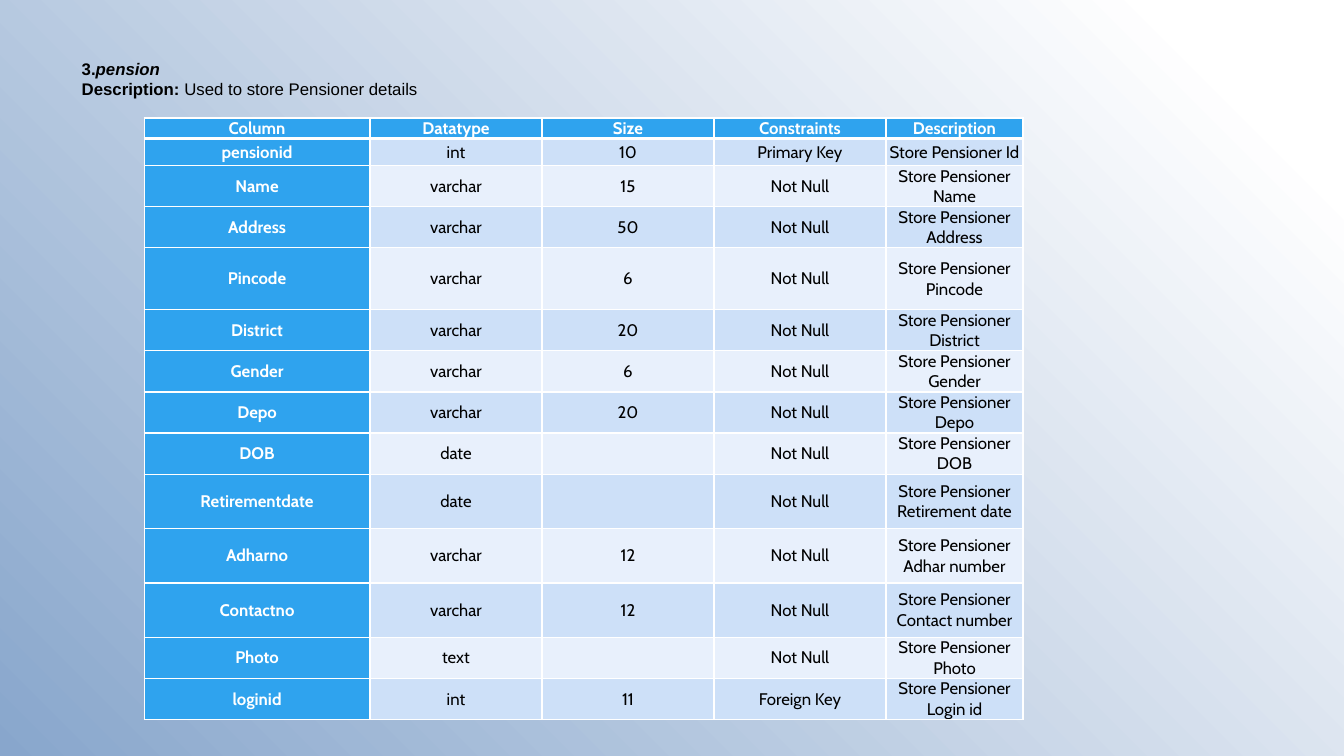
from lxml import etree
from pptx import Presentation
from pptx import util as u
from pptx.dml.color import RGBColor
from pptx.enum import text
from pptx.oxml import ns

SLIDE_WIDTH = u.Inches(13.333)
SLIDE_HEIGHT = u.Inches(7.5)
COLORS = {
    "white": "FFFFFF",
    "black": "000000",
    "backdrop": "88A6CC",
    "header": "2FA3EE",
    "odd": "CDE0F8",
    "even": "E8F0FC",
}
HEADINGS = ("Column", "Datatype", "Size", "Constraints", "Description")
COLUMN_SHARES = (16.8, 12.8, 12.8, 12.8, 10.2)
HEADING_ROW, LOW_ROW, ROW, TALL_ROW, TALLEST_ROW = 1.73, 3.6, 5.4, 7.2, 8.2
FIELDS = (
    ("pensionid", "int", "10", "Primary Key", "Id", LOW_ROW),
    ("Name", "varchar", "15", "Not Null", "Name", ROW),
    ("Address", "varchar", "50", "Not Null", "Address", ROW),
    ("Pincode", "varchar", "6", "Not Null", "Pincode", TALLEST_ROW),
    ("District", "varchar", "20", "Not Null", "District", ROW),
    ("Gender", "varchar", "6", "Not Null", "Gender", ROW),
    ("Depo", "varchar", "20", "Not Null", "Depo", ROW),
    ("DOB", "date", "", "Not Null", "DOB", ROW),
    ("Retirementdate", "date", "", "Not Null", "Retirement date", TALL_ROW),
    ("Adharno", "varchar", "12", "Not Null", "Adhar number", TALL_ROW),
    ("Contactno", "varchar", "12", "Not Null", "Contact number", TALL_ROW),
    ("Photo", "text", "", "Not Null", "Photo", ROW),
    ("loginid", "int", "11", "Foreign Key", "Login id", ROW),
)


def across(percent):
    return int(SLIDE_WIDTH * percent / 100)


def down(percent):
    return int(SLIDE_HEIGHT * percent / 100)


def rgb(name):
    return RGBColor.from_string(COLORS[name])


def style_font(font, typeface, color, bold=False, italic=False):
    font.name = typeface
    font.size = u.Pt(12)
    font.bold = bold
    font.italic = italic
    font.color.rgb = rgb(color)


def paint_background(slide):
    fill = slide.background.fill
    fill.gradient()
    fill.gradient_angle = 225
    for stop, (position, color) in zip(fill.gradient_stops, ((0.09, "white"), (1, "backdrop"))):
        stop.position = position
        stop.color.rgb = rgb(color)


def add_heading(slide):
    title = slide.shapes.title
    title.left, title.top = across(1.58), down(7.07)
    title.width, title.height = across(98.42), down(6.67)
    frame = title.text_frame
    frame.word_wrap = True
    frame.auto_size = text.MSO_AUTO_SIZE.NONE
    frame.vertical_anchor = text.MSO_ANCHOR.MIDDLE
    lines = (
        (("3.", True, False), ("pension", True, True)),
        (("Description: ", True, False), ("Used to store Pensioner details", False, False)),
    )
    for index, line in enumerate(lines):
        paragraph = frame.add_paragraph() if index else frame.paragraphs[0]
        paragraph.alignment = text.PP_ALIGN.LEFT
        paragraph._p.get_or_add_pPr().set("indent", str(u.Inches(0.5)))
        for words, bold, italic in line:
            run = paragraph.add_run()
            run.text = words
            style_font(run.font, "Arial", "black", bold, italic)


def add_border(cell, side, points):
    properties = cell._tc.get_or_add_tcPr()
    line = etree.SubElement(properties, ns.qn(f"a:ln{side}"), w=str(u.Pt(points)))
    fill = etree.SubElement(line, ns.qn("a:solidFill"))
    etree.SubElement(fill, ns.qn("a:srgbClr"), val=COLORS["white"])


def fill_cell(cell, words, row, column):
    for side in "LRTB":
        under_heading = (row, side) in ((0, "B"), (1, "T"))
        add_border(cell, side, 3 if under_heading else 1)
    is_heading = row == 0 or column == 0
    cell.fill.solid()
    cell.fill.fore_color.rgb = rgb("header" if is_heading else "odd" if row % 2 else "even")
    cell.margin_left = cell.margin_right = u.Inches(0.03)
    cell.margin_top = cell.margin_bottom = 0
    cell.vertical_anchor = text.MSO_ANCHOR.MIDDLE
    cell.text_frame.text = words
    paragraph = cell.text_frame.paragraphs[0]
    paragraph.alignment = text.PP_ALIGN.CENTER
    for run in paragraph.runs:
        style_font(run.font, "Cabin", "white" if is_heading else "black", is_heading)


def add_field_table(slide):
    rows = [HEADINGS]
    rows += [(*field[:4], f"Store Pensioner {field[4]}") for field in FIELDS]
    row_shares = [HEADING_ROW] + [field[5] for field in FIELDS]
    table = slide.shapes.add_table(
        len(rows), len(HEADINGS), across(10.73), down(15.6),
        across(sum(COLUMN_SHARES)), down(sum(row_shares)),
    ).table
    for column, share in zip(table.columns, COLUMN_SHARES):
        column.width = across(share)
    for row, share in zip(table.rows, row_shares):
        row.height = down(share)
    for row, values in enumerate(rows):
        for column, words in enumerate(values):
            fill_cell(table.cell(row, column), words, row, column)


def main():
    presentation = Presentation()
    presentation.slide_width = SLIDE_WIDTH
    presentation.slide_height = SLIDE_HEIGHT
    slide = presentation.slides.add_slide(presentation.slide_layouts[5])
    paint_background(slide)
    add_heading(slide)
    add_field_table(slide)
    presentation.save("out.pptx")


if __name__ == "__main__":
    main()
